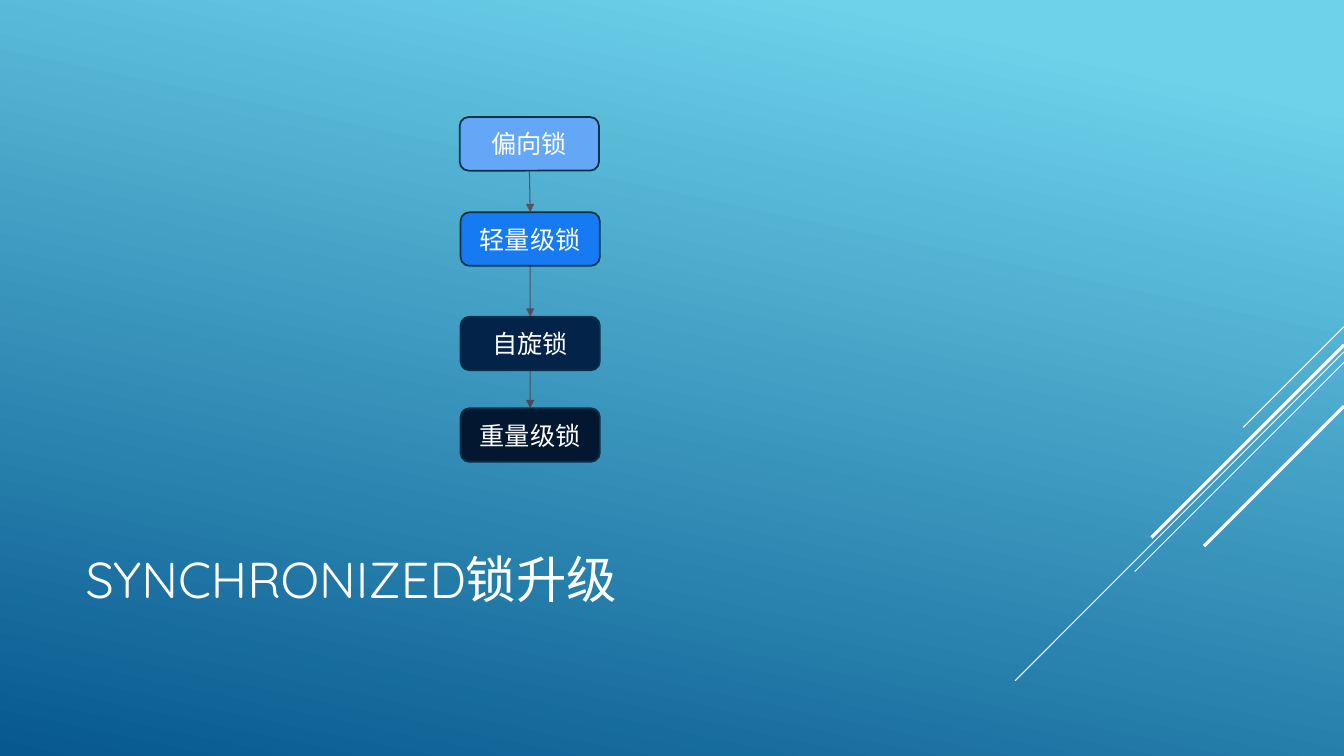
from dataclasses import dataclass
from itertools import pairwise

from pptx import Presentation
from pptx.dml.color import RGBColor
from pptx.enum.shapes import MSO_CONNECTOR as Connector, MSO_SHAPE as Shape
from pptx.enum.text import MSO_ANCHOR as Anchor, MSO_AUTO_SIZE as AutoSize, PP_ALIGN as Align
from pptx.oxml.ns import qn
from pptx.util import Pt
from lxml.etree import SubElement


@dataclass(frozen=True)
class Theme:
    font: str = "Quicksand"
    title_size: float = 36
    label_size: float = 18
    text: str = "FFFFFF"
    streak: str = "FFFFFF"
    outline: str = "043148"
    arrow: str = "631212"
    arrow_alpha: int = 60
    sky: tuple = ((0.1, "6ED2EB"), (1, "06588E"))
    sky_angle: float = 258
    thin: float = 0.75
    border: float = 1.25
    thick: float = 2.25


class SlideBuilder:
    def __init__(self, page, theme):
        self.page = page
        self.theme = theme

    def background(self):
        fill = self.page.background.fill
        fill.gradient()
        fill.gradient_angle = self.theme.sky_angle
        for stop, (position, color) in zip(fill.gradient_stops, self.theme.sky):
            stop.position = position
            stop.color.rgb = RGBColor.from_string(color)

    def label(self, shape, text, size, align):
        frame = shape.text_frame
        frame.text = text
        frame.word_wrap = True
        frame.auto_size = AutoSize.NONE
        frame.vertical_anchor = Anchor.MIDDLE
        for para in frame.paragraphs:
            para.alignment = align
            for span in para.runs:
                span.font.name = self.theme.font
                span.font.size = Pt(size)
                span.font.color.rgb = RGBColor.from_string(self.theme.text)

    def title(self, text, left, top, width, height):
        title = self.page.shapes.title
        title.left, title.top = Pt(left), Pt(top)
        title.width, title.height = Pt(width), Pt(height)
        self.label(title, text, self.theme.title_size, Align.LEFT)

    def box(self, text, color, left, top, width, height):
        box = self.page.shapes.add_shape(
            Shape.ROUNDED_RECTANGLE, Pt(left), Pt(top), Pt(width), Pt(height))
        box.shadow.inherit = False
        box.fill.solid()
        box.fill.fore_color.rgb = RGBColor.from_string(color)
        box.line.color.rgb = RGBColor.from_string(self.theme.outline)
        box.line.width = Pt(self.theme.border)
        self.label(box, text, self.theme.label_size, Align.CENTER)
        return box

    def line(self, start, end, color, weight):
        line = self.page.shapes.add_connector(
            Connector.STRAIGHT, *(Pt(value) for value in (*start, *end)))
        line.line.color.rgb = RGBColor.from_string(color)
        line.line.width = Pt(weight)
        SubElement(line._element.spPr, qn("a:effectLst"))
        return line

    def arrow(self, source, target):
        arrow = self.line((0, 0), (0, 0), self.theme.arrow, self.theme.thin)
        arrow.begin_connect(source, 2)
        arrow.end_connect(target, 0)
        stroke = arrow._element.spPr.find(qn("a:ln"))
        color = stroke.find(".//" + qn("a:srgbClr"))
        SubElement(color, qn("a:alpha"), val=str(self.theme.arrow_alpha * 1000))
        SubElement(stroke, qn("a:tailEnd"), type="triangle")


deck = Presentation()
deck.slide_width, deck.slide_height = Pt(960), Pt(540)
theme = Theme()
slide = SlideBuilder(deck.slides.add_slide(deck.slide_layouts[5]), theme)
slide.background()

RIGHT_EDGE = 960
STREAKS = [
    (233.3, 72, theme.thin),
    (251.3, 235, theme.thin),
    (258.8, 149.5, theme.thin),
    (246.4, 137.5, theme.thick),
    (290.1, 100, theme.thick),
]
for top, reach, weight in STREAKS:
    slide.line((RIGHT_EDGE, top), (RIGHT_EDGE - reach, top + reach), theme.streak, weight)

slide.title("SYNCHRONIZED锁升级", 54, 353.5, 672, 118.8)

LOCKS = [
    ("偏向锁", "64A7F7", 328.4, 83.6),
    ("轻量级锁", "167BF3", 329, 151.6),
    ("自旋锁", "042349", 329, 226.2),
    ("重量级锁", "031730", 329, 291.6),
]
boxes = [slide.box(name, color, left, top, 99.5, 38.3) for name, color, left, top in LOCKS]
for source, target in pairwise(boxes):
    slide.arrow(source, target)

deck.save("out.pptx")
